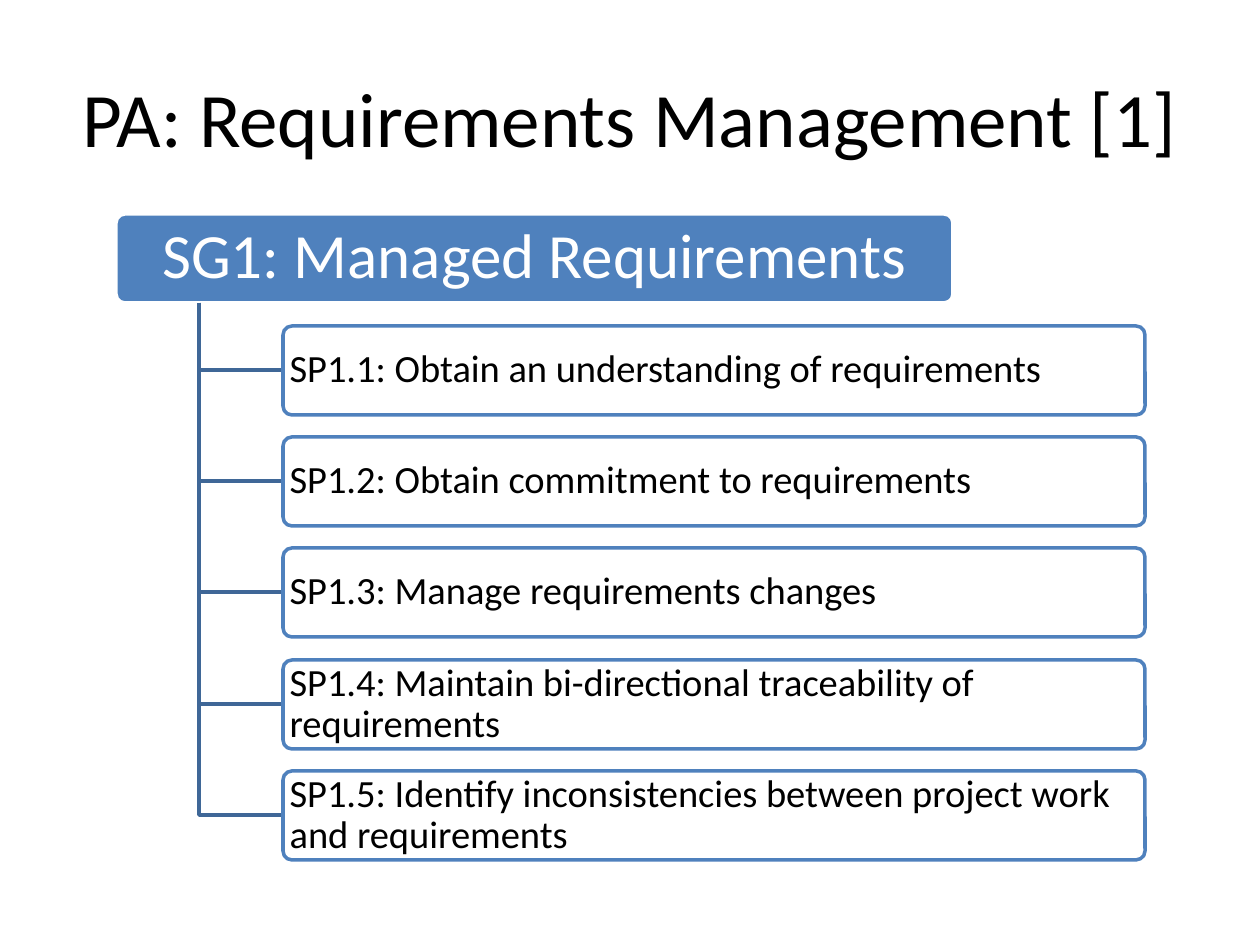
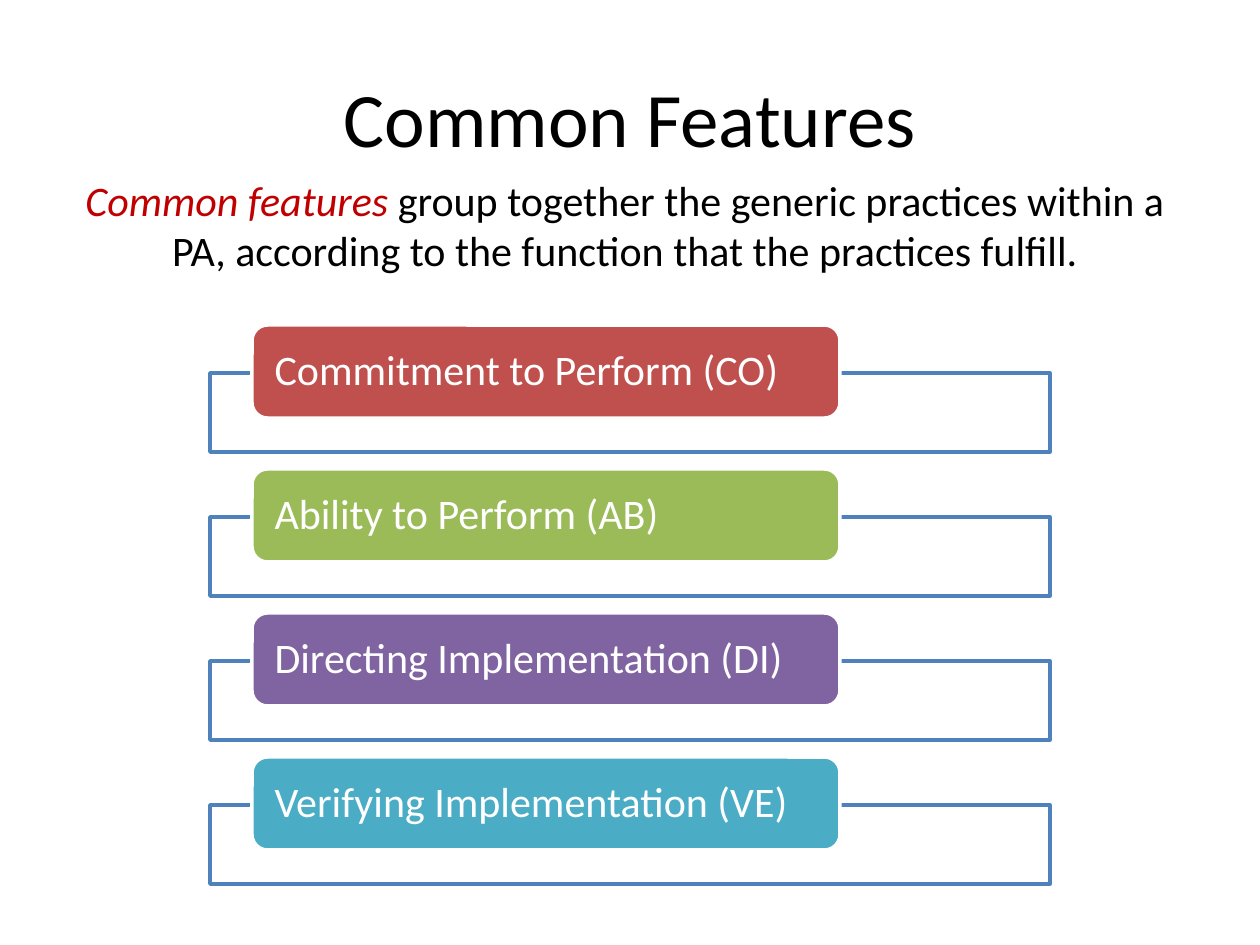
from lxml.etree import SubElement
from pptx import Presentation
from pptx.dml.color import RGBColor
from pptx.enum.shapes import MSO_SHAPE as Shape
from pptx.enum.text import MSO_ANCHOR as Anchor, PP_ALIGN as Align
from pptx.oxml.ns import qn
from pptx.util import Pt

EMU_PER_PX = 914400 / 126
SLIDE_SIZE = (1260, 945)
TITLE_BOX = (63, 38, 1134, 157)
FONT = "Calibri"
LINE_WIDTH = Pt(2)

BLACK = RGBColor(0x00, 0x00, 0x00)
WHITE = RGBColor(0xFF, 0xFF, 0xFF)
BLUE = RGBColor(0x4F, 0x81, 0xBD)
BRANCH_BLUE = RGBColor(0x3F, 0x67, 0x97)
CRIMSON = RGBColor(0xC0, 0x00, 0x00)
RED = RGBColor(0xC0, 0x50, 0x4D)
GREEN = RGBColor(0x9B, 0xBB, 0x59)
PURPLE = RGBColor(0x80, 0x64, 0xA2)
TEAL = RGBColor(0x4B, 0xAC, 0xC6)

PRACTICES = [
    "SP1.1: Obtain an understanding of requirements",
    "SP1.2: Obtain commitment to requirements",
    "SP1.3: Manage requirements changes",
    "SP1.4: Maintain bi-directional traceability of requirements",
    "SP1.5: Identify inconsistencies between project work and requirements",
]
FEATURES = [
    ("Commitment to Perform (CO)", RED),
    ("Ability to Perform (AB)", GREEN),
    ("Directing Implementation (DI)", PURPLE),
    ("Verifying Implementation (VE)", TEAL),
]


def px(length):
    return round(length * EMU_PER_PX)


def set_all(target, values):
    for name, value in values.items():
        setattr(target, name, value)


def add_run(paragraph, text, size, color, italic=False):
    run = paragraph.add_run()
    run.text = text
    set_all(run.font, {"name": FONT, "size": Pt(size), "italic": italic})
    run.font.color.rgb = color


def style_line(shape, color):
    shape.shadow.inherit = False
    shape.line.color.rgb = color
    shape.line.width = LINE_WIDTH


def add_panel(slide, kind, box, fill, line, opacity=100):
    panel = slide.shapes.add_shape(kind, *map(px, box))
    panel.fill.solid()
    panel.fill.fore_color.rgb = fill
    style_line(panel, line)
    if opacity < 100:
        color = panel.fill._xPr.find(qn("a:solidFill"))[0]
        SubElement(color, qn("a:alpha")).set("val", str(opacity * 1000))
    return panel


def write_panel(panel, text, size, color, inset, align=Align.LEFT):
    frame = panel.text_frame
    set_all(frame, {
        "word_wrap": True, "vertical_anchor": Anchor.MIDDLE,
        "margin_left": px(inset), "margin_right": px(inset),
        "margin_top": 0, "margin_bottom": 0,
    })
    paragraph = frame.paragraphs[0]
    set_all(paragraph, {"alignment": align, "line_spacing": 0.9})
    add_run(paragraph, text, size, color)


def add_titled_slide(presentation, text):
    slide = presentation.slides.add_slide(
        presentation.slide_layouts.get_by_name("Title Only"))
    title = slide.shapes.title
    set_all(title, dict(zip(("left", "top", "width", "height"), map(px, TITLE_BOX))))
    title.text_frame.vertical_anchor = Anchor.MIDDLE
    paragraph = title.text_frame.paragraphs[0]
    paragraph.alignment = Align.CENTER
    add_run(paragraph, text, 44, BLACK)
    return slide


def add_branch(slide, start, end):
    builder = slide.shapes.build_freeform(*start, scale=EMU_PER_PX)
    builder.add_line_segments([(start[0], end[1]), end], close=False)
    branch = builder.convert_to_shape()
    branch.fill.background()
    style_line(branch, BRANCH_BLUE)


def add_goal_tree(slide, box, goal, practices):
    left, top, width, height = box
    row_height, goal_width, trunk, indent = 89, 837, 83, 167
    first_row = 112
    step = (height - row_height - first_row) / (len(practices) - 1)

    header = add_panel(slide, Shape.ROUNDED_RECTANGLE,
                       (left, top, goal_width, row_height), BLUE, WHITE)
    header.adjustments[0] = 0.1
    write_panel(header, goal, 36, WHITE, 6, Align.CENTER)
    for index, practice in enumerate(practices):
        row_top = round(top + first_row + index * step)
        add_branch(slide, (left + trunk, top + row_height),
                   (left + indent, row_top + row_height // 2))
        row = add_panel(slide, Shape.ROUNDED_RECTANGLE,
                        (left + indent, row_top, width - indent, row_height),
                        WHITE, BLUE, opacity=90)
        row.adjustments[0] = 0.1
        write_panel(row, practice, 22, BLACK, 4)


def add_definition(slide, box, term, meaning):
    frame = slide.shapes.add_textbox(*map(px, box)).text_frame
    frame.word_wrap = True
    paragraph = frame.paragraphs[0]
    paragraph.alignment = Align.CENTER
    add_run(paragraph, term, 24, CRIMSON, italic=True)
    add_run(paragraph, meaning, 24, BLACK)


def add_feature_list(slide, box, features):
    left, top, width, height = box
    label_indent, label_width, label_height = 42, 588, 93
    frame_offset, frame_height = 48, 79
    step = (height - frame_offset - frame_height) / (len(features) - 1)
    for index, (name, color) in enumerate(features):
        row_top = round(top + index * step)
        add_panel(slide, Shape.RECTANGLE,
                  (left, row_top + frame_offset, width, frame_height),
                  WHITE, BLUE, opacity=90)
        label = add_panel(slide, Shape.ROUNDED_RECTANGLE,
                          (left + label_indent, row_top, label_width, label_height),
                          color, WHITE)
        write_panel(label, name, 24, WHITE, 18)


def main():
    presentation = Presentation()
    presentation.slide_width, presentation.slide_height = map(px, SLIDE_SIZE)

    slide = add_titled_slide(presentation, "PA: Requirements Management [1]")
    add_goal_tree(slide, (116, 214, 1029, 646), "SG1: Managed Requirements", PRACTICES)

    slide = add_titled_slide(presentation, "Common Features")
    add_definition(slide, (63, 168, 1124, 115), "Common features",
                   " group together the generic practices within a PA, "
                   "according to the function that the practices fulfill.")
    add_feature_list(slide, (210, 325, 840, 559), FEATURES)

    presentation.save("out.pptx")


if __name__ == "__main__":
    main()
